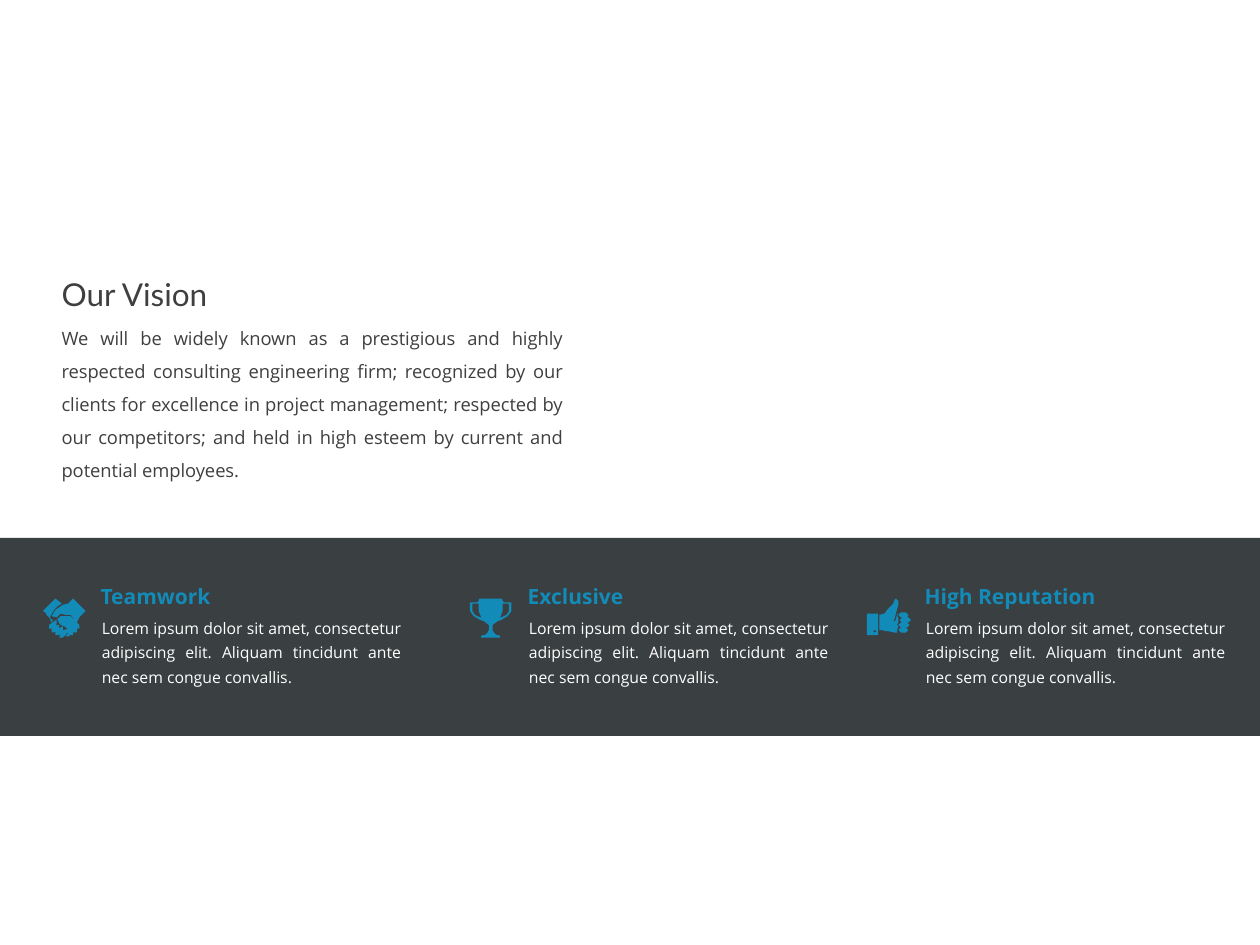
from lxml.etree import SubElement
from pptx import Presentation
from pptx.dml.color import RGBColor
from pptx.enum.shapes import MSO_SHAPE
from pptx.enum.text import MSO_ANCHOR, PP_ALIGN
from pptx.oxml.ns import qn
from pptx.util import Pt

SCALE = 9144
BLUE = RGBColor(0x13, 0x8B, 0xB9)
DARK = RGBColor(0x18, 0x1E, 0x20)
GRAY = RGBColor(0x3F, 0x3F, 0x3F)
WHITE = RGBColor(0xFF, 0xFF, 0xFF)

VISION = (
    "We will be widely known as a prestigious and highly respected consulting "
    "engineering firm; recognized by our clients for excellence in project "
    "management; respected by our competitors; and held in high esteem by "
    "current and potential employees."
)
LOREM = (
    "Lorem ipsum dolor sit amet, consectetur adipiscing elit. "
    "Aliquam tincidunt ante nec sem congue convallis."
)

HANDS = [
    [(5, 15), (4, 14), (3, 13), (2, 11), (0, 10), (10, 0), (15, 4), (12, 6),
     (9, 9), (6, 14), (6, 16), (8, 17), (7, 19), (6, 17)],
    [(22, 14), (14, 14), (12, 16), (11, 16), (12, 17), (13, 20), (14, 20),
     (14, 21), (17, 22), (18, 23), (20, 24), (20, 28), (18, 30), (21, 30),
     (21, 29), (24, 29), (24, 27), (27, 27), (27, 24), (29, 24), (29, 21)],
    [(20, 24), (17, 25), (16, 25), (16, 22), (14, 23), (13, 24), (13, 21),
     (10, 21), (11, 20), (11, 17), (9, 18), (5, 21), (5, 24), (7, 24), (7, 27),
     (9, 27), (10, 26), (10, 29), (13, 29), (14, 28), (13, 31), (16, 31),
     (20, 27)],
    [(24, 0), (20, 4), (16, 5), (10, 9), (7, 14), (11, 15), (14, 12), (18, 13),
     (22, 13), (27, 19), (29, 15), (30, 14), (34, 10)],
]
THUMB = [
    [(24, 25), (24, 27), (22, 27), (17, 26), (15, 26), (12, 25), (10, 25),
     (10, 13), (14, 12), (17, 8), (21, 4), (22, 1), (23, 0), (25, 2), (25, 5),
     (23, 12), (22, 16), (21, 19), (23, 17), (24, 12), (25, 12), (24, 13),
     (25, 16), (25, 19), (24, 21), (25, 22)],
    [(35, 17), (33, 15), (32, 15), (33, 13), (31, 11), (27, 11), (25, 13),
     (27, 15), (28, 15), (26, 17), (28, 19), (27, 19), (25, 21), (27, 23),
     (25, 25), (27, 27), (31, 27), (33, 25), (31, 23), (32, 23), (34, 21),
     (32, 19), (33, 19)],
    [(0, 12), (9, 12), (9, 29), (0, 29)],
    [(5, 26), (6, 27), (8, 26), (6, 25)],
]
CUP = [(8, 0), (7, 1), (7, 2), (6, 3), (0, 3), (0, 10), (3, 14), (8, 17),
       (11, 18), (15, 21), (15, 25), (14, 27), (12, 29), (10, 29), (9, 30),
       (9, 31)]
GRIP = [(2, 4), (7, 4), (7, 10), (9, 15), (8, 15), (4, 13), (2, 10)]


def flip(points):
    return [(33 - x, y) for x, y in reversed(points)]


TROPHY = [CUP + flip(CUP), GRIP, flip(GRIP)]


class Deck:
    def __init__(self):
        self.file = Presentation()
        self.file.slide_width = 1000 * SCALE
        self.file.slide_height = 750 * SCALE
        self.slide = self.file.slides.add_slide(self.file.slide_layouts[6])
        self.shapes = self.slide.shapes

    def paint(self, shape, color):
        shape.shadow.inherit = False
        shape.fill.solid()
        shape.fill.fore_color.rgb = color
        shape.line.fill.background()

    def band(self, x, y, w, h, color, alpha):
        shape = self.shapes.add_shape(
            MSO_SHAPE.RECTANGLE, *(n * SCALE for n in (x, y, w, h)))
        self.paint(shape, color)
        tint = shape.fill._xPr.find(".//" + qn("a:srgbClr"))
        SubElement(tint, qn("a:alpha"), val=str(alpha * 1000))

    def text(self, x, y, w, h, words, size, color, font="Open Sans",
             bold=False, space=None, pad=5, anchor=MSO_ANCHOR.TOP):
        box = self.shapes.add_textbox(*(n * SCALE for n in (x, y, w, h)))
        frame = box.text_frame
        frame.word_wrap = True
        frame.vertical_anchor = anchor
        frame.margin_top = frame.margin_bottom = pad * SCALE
        line = frame.paragraphs[0]
        line.text = words
        line.font.name = font
        line.font.size = Pt(size)
        line.font.bold = bold
        line.font.color.rgb = color
        if space:
            line.line_spacing = space
            line.alignment = PP_ALIGN.JUSTIFY

    def icon(self, x, y, outlines, color):
        pen = self.shapes.build_freeform(*outlines[0][0], scale=SCALE)
        for points in outlines:
            pen.move_to(*points[0])
            pen.add_line_segments(points[1:], close=True)
        self.paint(pen.convert_to_shape(x * SCALE, y * SCALE), color)

    def value(self, x, title, outlines):
        self.text(x, 463, 200, 20, title, 12, BLUE, bold=True, pad=0,
                  anchor=MSO_ANCHOR.MIDDLE)
        self.text(x + 1, 481, 257, 69, LOREM, 9, WHITE, space=1.3,
                  anchor=MSO_ANCHOR.MIDDLE)
        self.icon(x - 36, 475, outlines, BLUE)


def main():
    deck = Deck()
    deck.text(39, 213, 325, 40, "Our Vision", 18, GRAY, font="Lato")
    deck.text(39, 246, 418, 125, VISION, 10.5, GRAY, space=1.5)
    deck.band(0, 427, 1000, 157, DARK, 85)
    deck.value(70, "Teamwork", HANDS)
    deck.value(409, "Exclusive", TROPHY)
    deck.value(724, "High Reputation", THUMB)
    deck.file.save("out.pptx")


if __name__ == "__main__":
    main()
